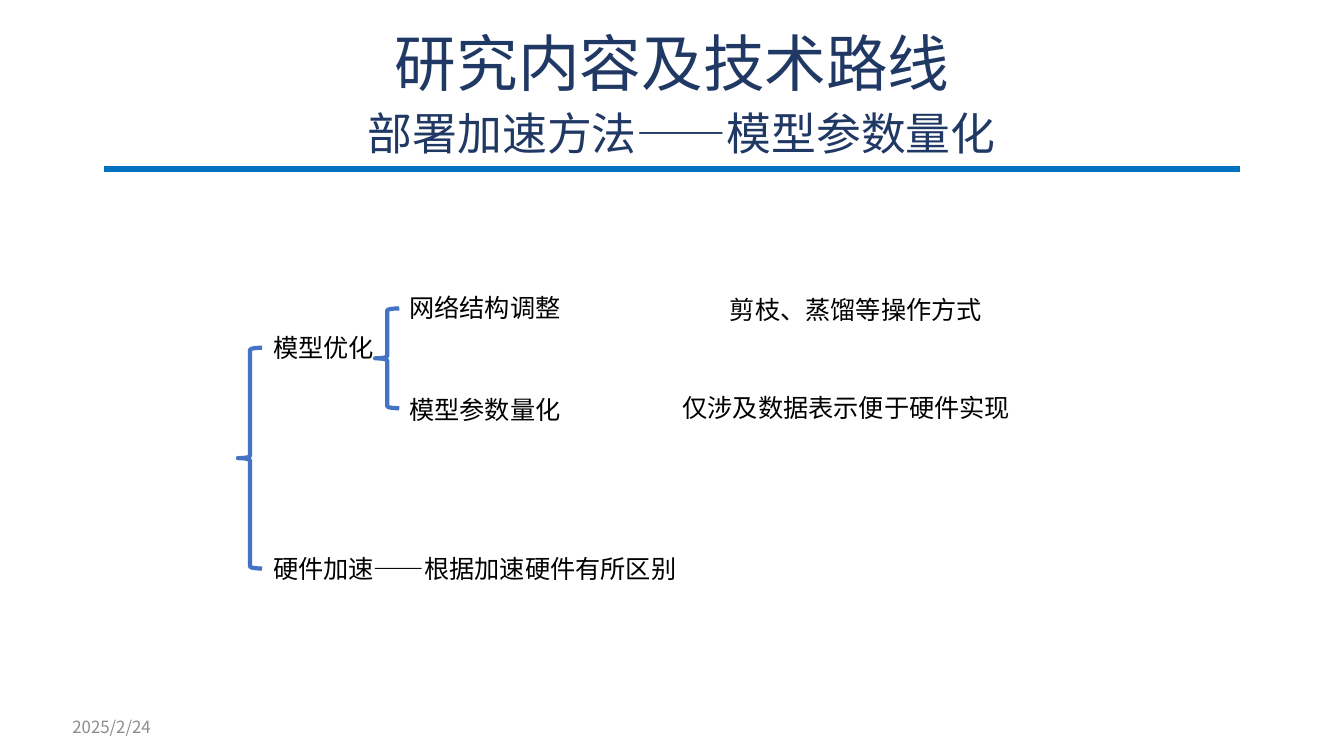
from dataclasses import dataclass

from lxml import etree
from pptx import Presentation
from pptx.dml.color import RGBColor
from pptx.enum import shapes, text
from pptx.oxml import ns
from pptx.util import Inches, Pt

FONT = "Noto Sans CJK SC"
HUES = {"title": "203864", "rule": "0070C0", "brace": "4472C4",
        "body": "000000", "date": "8C8C8C"}


@dataclass
class Label:
    words: str
    left: float
    top: float
    width: float
    height: float = 0.4
    size: int = 18
    hue: str = "body"
    wrap: bool = True
    align: text.PP_ALIGN = text.PP_ALIGN.LEFT
    anchor: text.MSO_ANCHOR = text.MSO_ANCHOR.TOP


@dataclass
class Brace:
    left: float
    top: float
    height: float
    width: float = 0.24


LABELS = [
    Label("2025/2/24", 0.62, 7.01, 3, size=12, hue="date",
          anchor=text.MSO_ANCHOR.MIDDLE),
    Label("研究内容及技术路线", 3.79, 0.2, 5.76, 0.84, 44, "title",
          wrap=False, align=text.PP_ALIGN.CENTER),
    Label("部署加速方法——模型参数量化", 3.55, 1, 9.45, 0.64, 32, "title"),
    Label("模型优化", 2.61, 3.25, 1.36),
    Label("硬件加速——根据加速硬件有所区别", 2.61, 5.44, 5.12),
    Label("网络结构调整", 3.96, 2.85, 1.85),
    Label("模型参数量化", 3.96, 3.86, 1.85),
    Label("剪枝、蒸馏等操作方式", 7.14, 2.87, 4.61),
    Label("仅涉及数据表示便于硬件实现", 6.67, 3.84, 5.21),
]
BRACES = [Brace(2.36, 3.45, 2.19), Brace(3.72, 3.06, 0.99)]


def tint(hue: str) -> RGBColor:
    return RGBColor.from_string(HUES[hue])


def add_label(slide, label: Label) -> None:
    box = slide.shapes.add_textbox(Inches(label.left), Inches(label.top),
                                   Inches(label.width), Inches(label.height))
    frame = box.text_frame
    frame.word_wrap = label.wrap
    frame.vertical_anchor = label.anchor
    para = frame.paragraphs[0]
    para.alignment = label.align
    run = para.add_run()
    run.text = label.words
    run.font.size = Pt(label.size)
    run.font.color.rgb = tint(label.hue)
    run.font.name = FONT
    east = etree.SubElement(run.font._element, ns.qn("a:ea"))
    east.set("typeface", FONT)


def add_brace(slide, brace: Brace) -> None:
    shape = slide.shapes.add_shape(
        shapes.MSO_SHAPE.LEFT_BRACE, Inches(brace.left), Inches(brace.top),
        Inches(brace.width), Inches(brace.height))
    shape.shadow.inherit = False
    shape.fill.background()
    shape.line.color.rgb = tint("brace")
    shape.line.width = Pt(3)


def add_rule(slide, left: float, right: float, top: float) -> None:
    rule = slide.shapes.add_connector(
        shapes.MSO_CONNECTOR.STRAIGHT, Inches(left), Inches(top),
        Inches(right), Inches(top))
    rule.line.color.rgb = tint("rule")
    rule.line.width = Pt(4.5)
    etree.SubElement(rule._element.spPr, ns.qn("a:effectLst"))


def main() -> None:
    deck = Presentation()
    deck.slide_width = Inches(13.33)
    deck.slide_height = Inches(7.5)
    slide = deck.slides.add_slide(deck.slide_layouts[6])
    add_rule(slide, 1.03, 12.3, 1.68)
    for brace in BRACES:
        add_brace(slide, brace)
    for label in LABELS:
        add_label(slide, label)
    deck.save("out.pptx")


if __name__ == "__main__":
    main()
